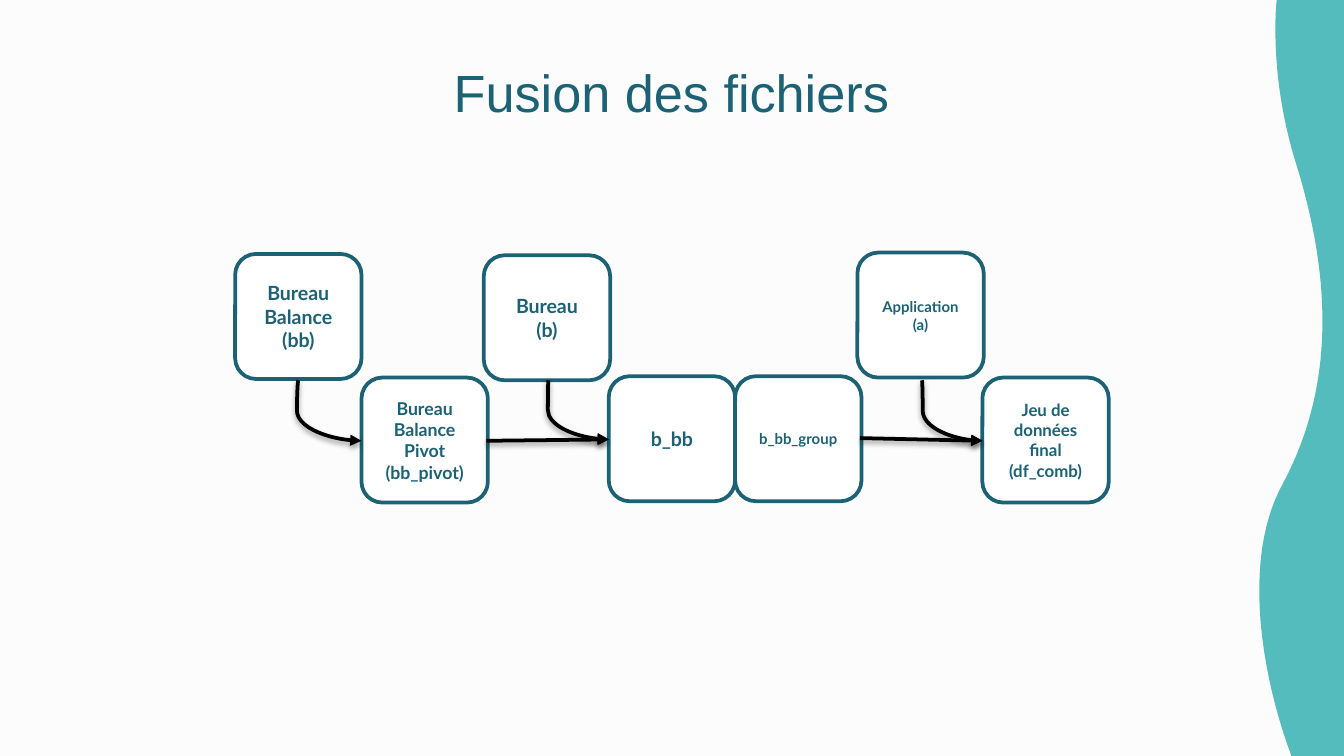
from lxml import etree
from pptx import Presentation
from pptx.dml.color import RGBColor
from pptx.enum.shapes import MSO_CONNECTOR, MSO_SHAPE
from pptx.enum.text import MSO_ANCHOR, PP_ALIGN
from pptx.oxml.ns import qn
from pptx.util import Inches, Pt

STRAIGHT, CURVE = MSO_CONNECTOR.STRAIGHT, MSO_CONNECTOR.CURVE
ROUNDED = MSO_SHAPE.ROUNDED_RECTANGLE
MIDDLE, TOP, CENTER = MSO_ANCHOR.MIDDLE, MSO_ANCHOR.TOP, PP_ALIGN.CENTER

SLIDE_WIDTH = 10
SLIDE_HEIGHT = SLIDE_WIDTH * 9 / 16

THEME = {
    "background": RGBColor(0xFC, 0xFC, 0xFC),
    "wave": RGBColor(0x55, 0xBC, 0xBD),
    "ink": RGBColor(0x1C, 0x62, 0x74),
    "box": RGBColor(0xFF, 0xFF, 0xFF),
    "arrow": RGBColor(0, 0, 0),
    "title_font": "Arial", "box_font": "Lato",
    "title": 28, "large": 10.5, "medium": 9.5, "compact": 9, "small": 8,
    "line": 2,
}

# Content
TITLE = "Fusion des fichiers"
BOX_WIDTH, BOX_HEIGHT = 0.94, 0.93
BOXES = [  # left, top, paragraphs, type size
    (1.75, 1.89, ["Bureau Balance (bb)"], "large"),
    (2.69, 2.81, ["Bureau Balance Pivot (bb_pivot)"], "medium"),
    (3.60, 1.90, ["Bureau (b)"], "large"),
    (4.53, 2.80, ["b_bb"], "large"),
    (5.47, 2.80, ["b_bb_group"], "small"),
    (6.38, 1.88, ["Application", "(a)"], "small"),
    (7.31, 2.81, ["Jeu de données final (df_comb)"], "compact"),
]
ARROWS = [  # start, end, bend in thousandths of a percent (None is straight)
    ((2.22, 2.83), (2.69, 3.28), -2200),
    ((3.62, 3.28), (4.53, 3.27), None),
    ((6.40, 3.26), (7.31, 3.28), None),
    ((6.86, 2.83), (7.31, 3.28), 1300),
    ((4.08, 2.83), (4.53, 3.27), -800),
]
WAVE_START = (9.5, 0)
WAVE_CURVES = [  # two control points and an end point
    ((9.5, 0), (9.49, 0.07), (9.49, 0.21)),
    ((9.49, 0.43), (9.51, 0.81), (9.66, 1.27)),
    ((9.77, 1.64), (9.84, 2.01), (9.84, 2.39)),
    ((9.84, 2.79), (9.76, 3.2), (9.54, 3.61)),
    ((9.41, 3.85), (9.37, 4.13), (9.37, 4.4)),
    ((9.37, 5.03), (9.61, SLIDE_HEIGHT), (9.61, SLIDE_HEIGHT)),
]
CURVE_STEPS = 16


def curve_point(points, t):
    weights = ((1 - t) ** 3, 3 * t * (1 - t) ** 2, 3 * t * t * (1 - t), t ** 3)
    return tuple(sum(w * point[axis] for w, point in zip(weights, points))
                 for axis in (0, 1))


def add_wave(slide):
    edge = [WAVE_START]
    for curve in WAVE_CURVES:
        points = (edge[-1], *curve)
        edge += [curve_point(points, step / CURVE_STEPS)
                 for step in range(1, CURVE_STEPS + 1)]
    edge.append((SLIDE_WIDTH, SLIDE_HEIGHT))
    builder = slide.shapes.build_freeform(Inches(SLIDE_WIDTH), 0)
    builder.add_line_segments([(Inches(x), Inches(y)) for x, y in edge], close=True)
    wave = builder.convert_to_shape()
    wave.shadow.inherit = False
    wave.fill.solid()
    wave.fill.fore_color.rgb = THEME["wave"]
    wave.line.fill.background()


def write(frame, paragraphs, size, font, bold):
    frame.word_wrap = True
    for index, text in enumerate(paragraphs):
        para = frame.add_paragraph() if index else frame.paragraphs[0]
        para.alignment = CENTER
        span = para.add_run()
        span.text = text
        span.font.size = Pt(THEME[size])
        span.font.name = THEME[font]
        span.font.bold = bold
        span.font.color.rgb = THEME["ink"]


def add_title(slide):
    title = slide.shapes.title
    title.left, title.top = Inches(2.13), Inches(0.35)
    title.width, title.height = Inches(5.73), Inches(0.63)
    frame = title.text_frame
    frame.margin_left = frame.margin_right = Inches(0.1)
    frame.margin_top = frame.margin_bottom = Inches(0.1)
    frame.vertical_anchor = TOP
    write(frame, [TITLE], "title", "title_font", False)


def add_box(slide, left, top, paragraphs, size):
    box = slide.shapes.add_shape(ROUNDED, Inches(left), Inches(top),
                                 Inches(BOX_WIDTH), Inches(BOX_HEIGHT))
    box.shadow.inherit = False
    box.fill.solid()
    box.fill.fore_color.rgb = THEME["box"]
    box.line.color.rgb = THEME["ink"]
    box.line.width = Pt(THEME["line"])
    box.text_frame.vertical_anchor = MIDDLE
    write(box.text_frame, paragraphs, size, "box_font", True)


def add_arrow(slide, start, end, bend):
    kind = STRAIGHT if bend is None else CURVE
    arrow = slide.shapes.add_connector(
        kind, *(Inches(value) for value in (*start, *end)))
    arrow.line.color.rgb = THEME["arrow"]
    arrow.line.width = Pt(THEME["line"])
    properties = arrow._element.spPr
    if bend is not None:
        guides = properties.find(qn("a:prstGeom")).get_or_add_avLst()
        etree.SubElement(guides, qn("a:gd"), name="adj1", fmla=f"val {bend}")
    etree.SubElement(properties.find(qn("a:ln")), qn("a:tailEnd"), type="triangle")

    # Soft shadow straight below the arrow
    effects = etree.SubElement(properties, qn("a:effectLst"))
    shadow = etree.SubElement(effects, qn("a:outerShdw"), blurRad=str(Pt(3.1)),
                              dist=str(Pt(1.6)), dir="5400000", rotWithShape="0")
    color = etree.SubElement(shadow, qn("a:srgbClr"), val=str(THEME["arrow"]))
    etree.SubElement(color, qn("a:alpha"), val="38000")


def main():
    deck = Presentation()
    deck.slide_width, deck.slide_height = Inches(SLIDE_WIDTH), Inches(SLIDE_HEIGHT)
    slide = deck.slides.add_slide(deck.slide_layouts[5])
    slide.background.fill.solid()
    slide.background.fill.fore_color.rgb = THEME["background"]
    add_wave(slide)
    add_title(slide)
    for box in BOXES:
        add_box(slide, *box)
    for arrow in ARROWS:
        add_arrow(slide, *arrow)
    deck.save("out.pptx")


if __name__ == "__main__":
    main()
